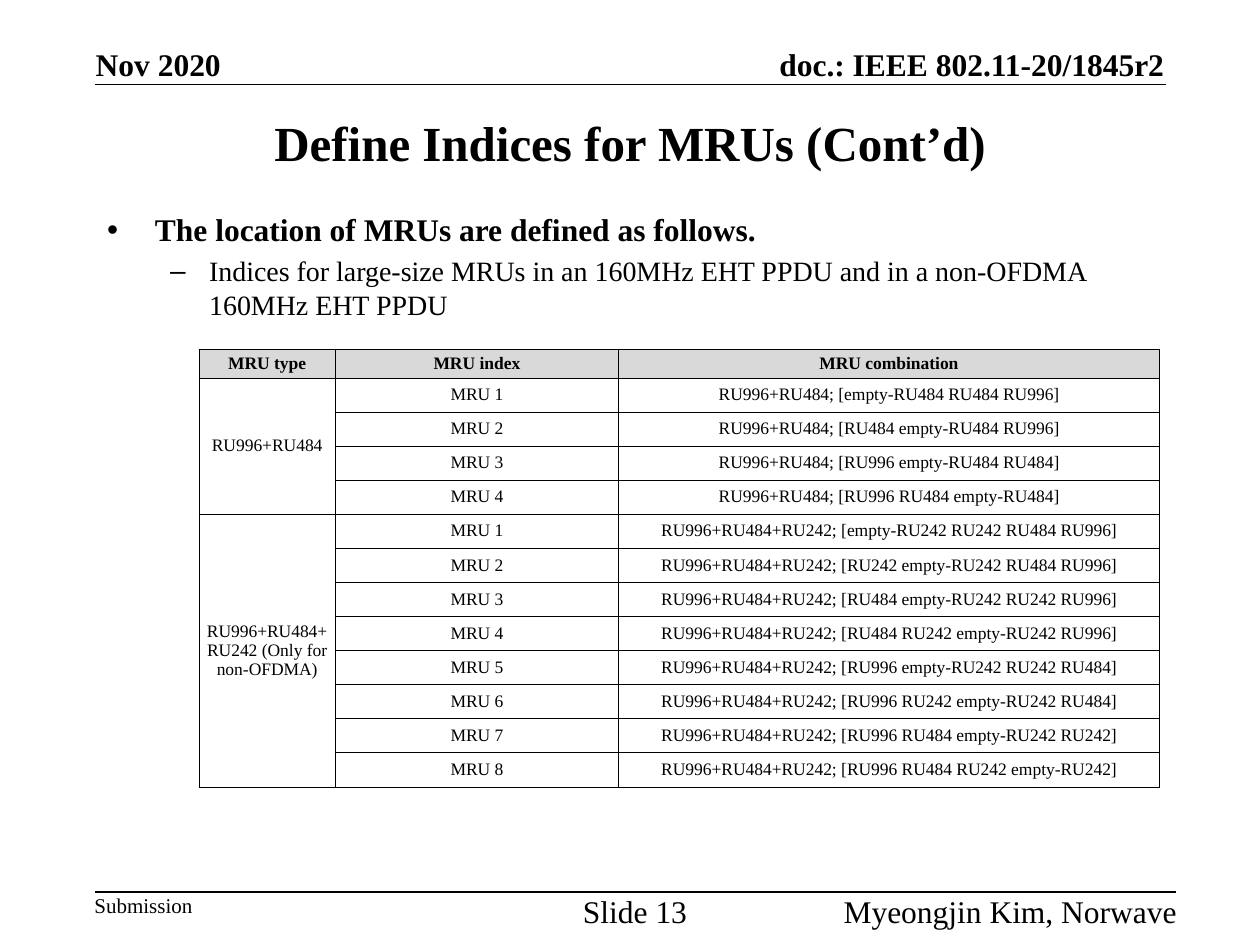
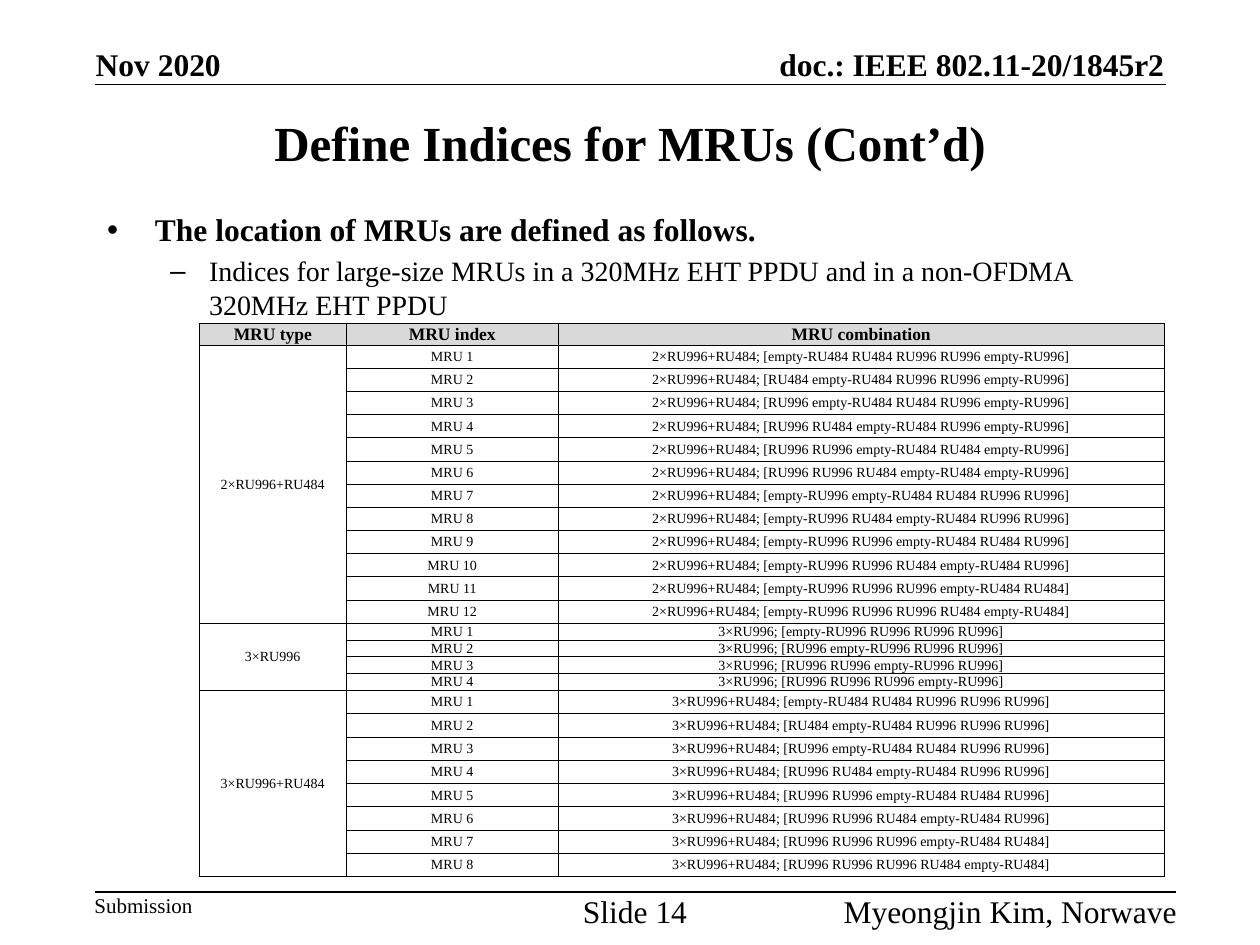
from lxml import etree
from pptx import Presentation
from pptx.dml.color import RGBColor
from pptx.enum.shapes import MSO_CONNECTOR
from pptx.enum.text import MSO_ANCHOR, MSO_AUTO_SIZE, PP_ALIGN
from pptx.oxml.ns import qn
from pptx.util import Inches, Pt

LEFT, CENTER, RIGHT = PP_ALIGN.LEFT, PP_ALIGN.CENTER, PP_ALIGN.RIGHT
TOP, MIDDLE, BOTTOM = MSO_ANCHOR.TOP, MSO_ANCHOR.MIDDLE, MSO_ANCHOR.BOTTOM
STRAIGHT = MSO_CONNECTOR.STRAIGHT
NO_AUTOFIT = MSO_AUTO_SIZE.NONE

FONT = "Times New Roman"
INK = "000000"
HEADER_FILL = "D9D9D9"

TITLE = "Define Indices for MRUs (Cont’d)"
LEAD = "The location of MRUs are defined as follows."
COLUMNS = ["MRU type", "MRU index", "MRU combination"]

# Each group: label lines, combination prefix, height, RU orders
GROUPS_160 = [
    (["RU996+RU484"], "RU996+RU484", 1.08, [
        "empty-RU484 RU484 RU996",
        "RU484 empty-RU484 RU996",
        "RU996 empty-RU484 RU484",
        "RU996 RU484 empty-RU484",
    ]),
    (["RU996+RU484+", "RU242 (Only for non-OFDMA)"], "RU996+RU484+RU242", 2.17, [
        "empty-RU242 RU242 RU484 RU996",
        "RU242 empty-RU242 RU484 RU996",
        "RU484 empty-RU242 RU242 RU996",
        "RU484 RU242 empty-RU242 RU996",
        "RU996 empty-RU242 RU242 RU484",
        "RU996 RU242 empty-RU242 RU484",
        "RU996 RU484 empty-RU242 RU242",
        "RU996 RU484 RU242 empty-RU242",
    ]),
]
GROUPS_320 = [
    (["2×RU996+RU484"], "2×RU996+RU484", 2.21, [
        "empty-RU484 RU484 RU996 RU996 empty-RU996",
        "RU484 empty-RU484 RU996 RU996 empty-RU996",
        "RU996 empty-RU484 RU484 RU996 empty-RU996",
        "RU996 RU484 empty-RU484 RU996 empty-RU996",
        "RU996 RU996 empty-RU484 RU484 empty-RU996",
        "RU996 RU996 RU484 empty-RU484 empty-RU996",
        "empty-RU996 empty-RU484 RU484 RU996 RU996",
        "empty-RU996 RU484 empty-RU484 RU996 RU996",
        "empty-RU996 RU996 empty-RU484 RU484 RU996",
        "empty-RU996 RU996 RU484 empty-RU484 RU996",
        "empty-RU996 RU996 RU996 empty-RU484 RU484",
        "empty-RU996 RU996 RU996 RU484 empty-RU484",
    ]),
    (["3×RU996"], "3×RU996", 0.53, [
        "empty-RU996 RU996 RU996 RU996",
        "RU996 empty-RU996 RU996 RU996",
        "RU996 RU996 empty-RU996 RU996",
        "RU996 RU996 RU996 empty-RU996",
    ]),
    (["3×RU996+RU484"], "3×RU996+RU484", 1.48, [
        "empty-RU484 RU484 RU996 RU996 RU996",
        "RU484 empty-RU484 RU996 RU996 RU996",
        "RU996 empty-RU484 RU484 RU996 RU996",
        "RU996 RU484 empty-RU484 RU996 RU996",
        "RU996 RU996 empty-RU484 RU484 RU996",
        "RU996 RU996 RU484 empty-RU484 RU996",
        "RU996 RU996 RU996 empty-RU484 RU484",
        "RU996 RU996 RU996 RU484 empty-RU484",
    ]),
]


def rgb(hex_color):
    return RGBColor.from_string(hex_color)


def add_run(paragraph, text, size, bold=False):
    run = paragraph.add_run()
    run.text = text
    run.font.name = FONT
    run.font.size = Pt(size)
    run.font.bold = bold
    run.font.color.rgb = rgb(INK)


def place(shape, left, top, width, height):
    shape.left, shape.top = Inches(left), Inches(top)
    shape.width, shape.height = Inches(width), Inches(height)


def add_label(slide, box, text, size, align=LEFT, anchor=TOP, bold=False):
    frame = slide.shapes.add_textbox(*map(Inches, box)).text_frame
    frame.margin_left = frame.margin_right = 0
    frame.margin_top = frame.margin_bottom = 0
    frame.word_wrap = True
    frame.vertical_anchor = anchor
    paragraph = frame.paragraphs[0]
    paragraph.alignment = align
    add_run(paragraph, text, size, bold)


def add_rule(slide, right, y):
    """Draw a horizontal line from the left margin."""
    rule = slide.shapes.add_connector(
        STRAIGHT, Inches(0.75), Inches(y), Inches(right), Inches(y))
    rule.line.color.rgb = rgb(INK)
    rule.line.width = Pt(1)
    etree.SubElement(rule._element.spPr, qn("a:effectLst"))


def add_header_and_footer(slide, number):
    add_label(slide, (0.76, 0.36, 1.29, 0.3), "Nov 2020", 18, LEFT, BOTTOM, True)
    add_label(slide, (5.65, 0.36, 3.59, 0.3), "doc.: IEEE 802.11-20/1845r2",
              18, RIGHT, BOTTOM, True)
    add_rule(slide, 9.25, 0.67)
    add_rule(slide, 9.33, 7.08)
    add_label(slide, (0.75, 7.08, 1, 0.2), "Submission", 12)
    add_label(slide, (4.54, 7.08, 1, 0.3), f"Slide {number}", 18, CENTER)
    add_label(slide, (6.34, 7.08, 3, 0.3), "Myeongjin Kim, Norwave", 18, RIGHT)


def set_title(slide):
    title = slide.shapes.title
    place(title, 0.75, 0.75, 8.5, 0.75)
    frame = title.text_frame
    frame.auto_size = NO_AUTOFIT
    frame.vertical_anchor = MIDDLE
    frame.paragraphs[0].alignment = CENTER
    add_run(frame.paragraphs[0], TITLE, 28, True)


def format_bullet(paragraph, mark, margin, hanging, space_before):
    properties = paragraph._p.get_or_add_pPr()
    properties.set("marL", str(Inches(margin)))
    properties.set("indent", str(-Inches(hanging)))
    etree.SubElement(properties, qn("a:buChar")).set("char", mark)
    paragraph.space_before = Pt(space_before)


def set_bullets(slide, detail):
    body = slide.placeholders[1]
    place(body, 0.75, 1.62, 8.5, 5.04)
    frame = body.text_frame
    frame.auto_size = NO_AUTOFIT
    lead = frame.paragraphs[0]
    format_bullet(lead, "•", 0.38, 0.38, 0)
    add_run(lead, LEAD, 18, True)
    sub = frame.add_paragraph()
    sub.level = 1
    format_bullet(sub, "–", 0.81, 0.31, 3.2)
    add_run(sub, detail, 16)


def add_borders(cell):
    properties = cell._tc.get_or_add_tcPr()
    for side in ("a:lnL", "a:lnR", "a:lnT", "a:lnB"):
        border = etree.SubElement(properties, qn(side), w=str(Pt(0.5)))
        fill = etree.SubElement(border, qn("a:solidFill"))
        etree.SubElement(fill, qn("a:srgbClr"), val=INK)


def format_cell(cell, fill=None):
    cell.margin_left = cell.margin_right = Inches(0.01)
    cell.margin_top = cell.margin_bottom = 0
    cell.vertical_anchor = MIDDLE
    add_borders(cell)
    if fill:
        cell.fill.solid()
        cell.fill.fore_color.rgb = rgb(fill)
    else:
        cell.fill.background()


def write_cell(cell, lines, size, bold=False):
    frame = cell.text_frame
    for i, line in enumerate(lines):
        paragraph = frame.add_paragraph() if i else frame.paragraphs[0]
        paragraph.alignment = CENTER
        add_run(paragraph, line, size, bold)


def add_mru_table(slide, top, widths, header_height, groups, size):
    row_count = 1 + sum(len(orders) for *_, orders in groups)
    height = header_height + sum(group[2] for group in groups)
    table = slide.shapes.add_table(
        row_count, len(COLUMNS), Inches(1.58), Inches(top),
        Inches(sum(widths)), Inches(height)).table
    table.horz_banding = False
    for column, width in zip(table.columns, widths):
        column.width = Inches(width)

    table.rows[0].height = Inches(header_height)
    for i, heading in enumerate(COLUMNS):
        format_cell(table.cell(0, i), HEADER_FILL)
        write_cell(table.cell(0, i), [heading], 10, True)

    first = 1
    for label, prefix, group_height, orders in groups:
        for index, order in enumerate(orders, 1):
            row = first + index - 1
            table.rows[row].height = Inches(group_height / len(orders))
            for i in range(len(COLUMNS)):
                format_cell(table.cell(row, i))
                # Spanned cells stay empty but must not stretch short rows
                table.cell(row, i).text_frame.paragraphs[0].font.size = Pt(size)
            write_cell(table.cell(row, 1), [f"MRU {index}"], size)
            write_cell(table.cell(row, 2), [f"{prefix}; [{order}]"], size)
        table.cell(first, 0).merge(table.cell(row, 0))
        write_cell(table.cell(first, 0), label, size)
        first += len(orders)


def add_mru_slide(deck, number, detail, **table):
    slide = deck.slides.add_slide(deck.slide_layouts[1])
    set_title(slide)
    set_bullets(slide, detail)
    add_header_and_footer(slide, number)
    add_mru_table(slide, **table)


def main():
    deck = Presentation()
    deck.slide_width, deck.slide_height = Inches(10), Inches(7.5)
    add_mru_slide(
        deck, 13,
        "Indices for large-size MRUs in an 160MHz EHT PPDU and in a non-OFDMA "
        "160MHz EHT PPDU",
        top=2.77, widths=[1.08, 2.25, 4.29], header_height=0.23,
        groups=GROUPS_160, size=10)
    add_mru_slide(
        deck, 14,
        "Indices for large-size MRUs in a 320MHz EHT PPDU and in a non-OFDMA "
        "320MHz EHT PPDU",
        top=2.57, widths=[1.17, 1.68, 4.81], header_height=0.17,
        groups=GROUPS_320, size=8)
    deck.save("out.pptx")


if __name__ == "__main__":
    main()
